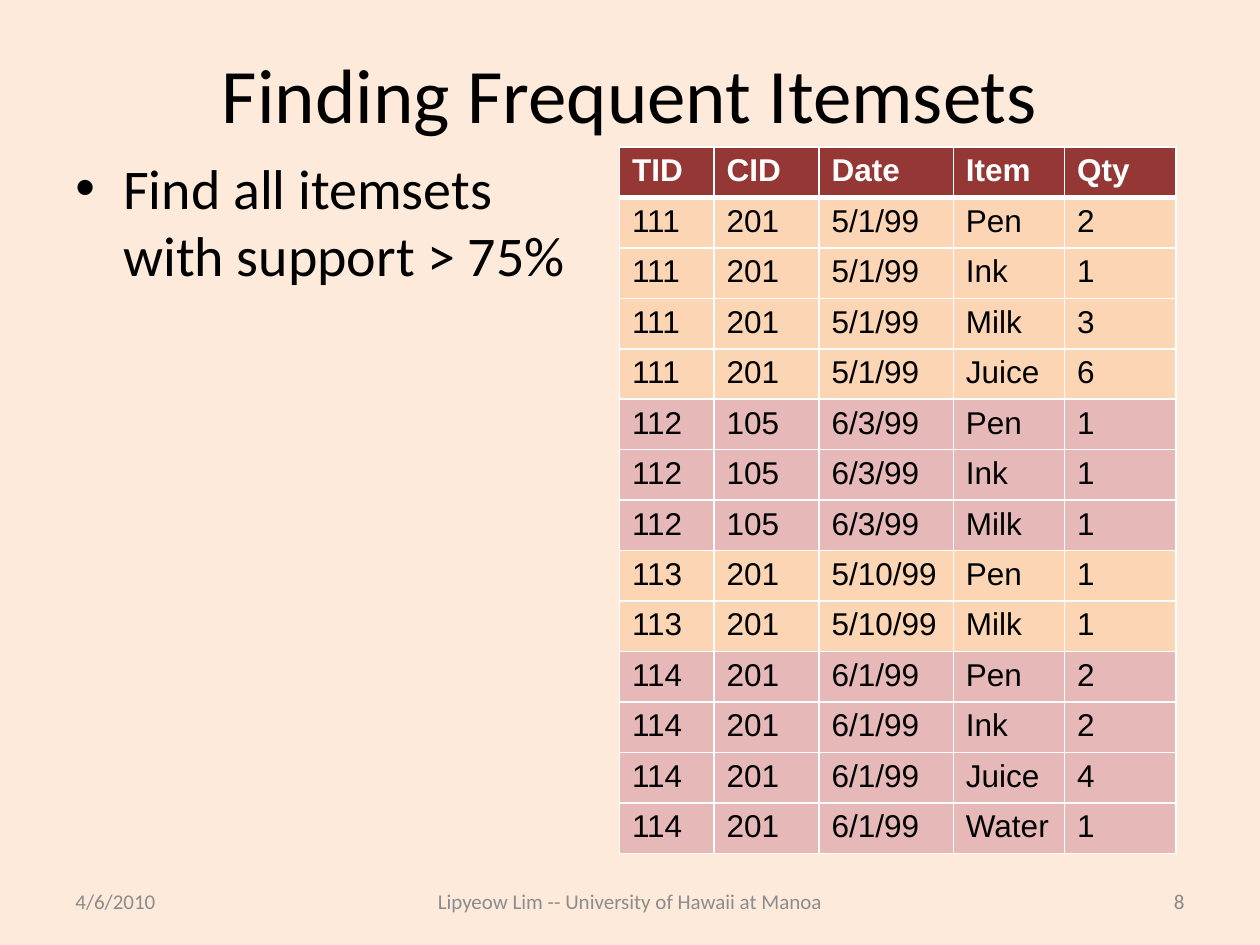
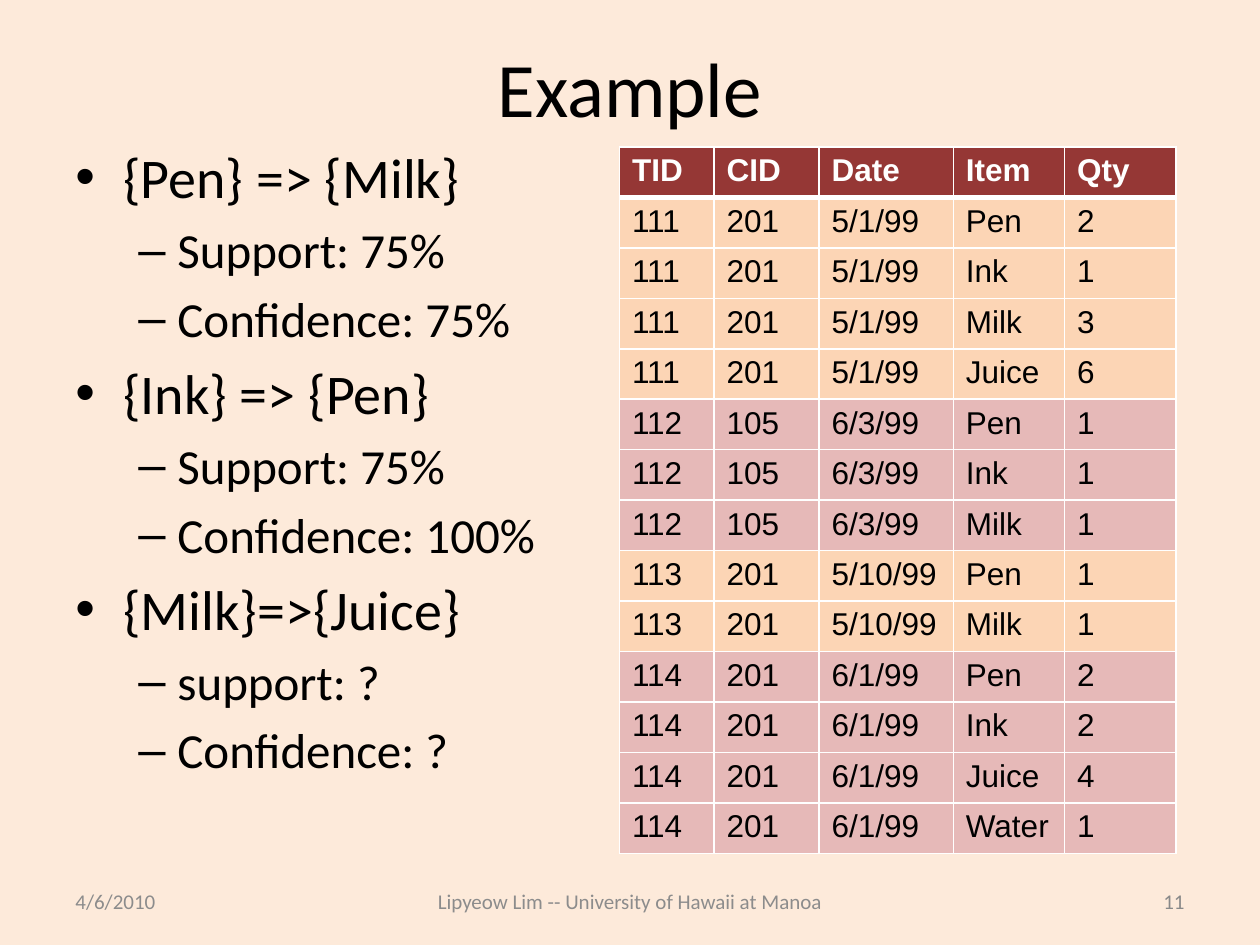
from lxml.etree import SubElement
from pptx import Presentation
from pptx.dml.color import RGBColor
from pptx.enum.text import MSO_ANCHOR as Anchor, PP_ALIGN as Align
from pptx.oxml.ns import qn
from pptx.util import Inches, Pt

COLUMNS, ROWS = 120, 90
LEFT_EDGE, CONTENT_BOTTOM = 6, 80.4
TITLE_TOP, FOOTER_TOP, LINE_HEIGHT = 3.6, 83.4, 4.8
TABLE_LEFT, TABLE_TOP = 59, 14
FIELD_WIDTHS = (9, 10, 12.8, 10.6, 10.6)

BACKGROUND, INK, WHITE = "FDEADA", "000000", "FFFFFF"
FOOTER_GREY, NUMBER_GREY = "8C8C8C", "898989"
HEADER_RED = "953735"
GROUP_FILLS = ("FCD5B5", "E6B9B8")
BULLETS = (("•", 32, 0.38, 0.38), ("–", 28, 0.81, 0.31))

FIELDS = ("TID", "CID", "Date", "Item", "Qty")
TRANSACTIONS = (
    ("111", "201", "5/1/99", (("Pen", "2"), ("Ink", "1"), ("Milk", "3"), ("Juice", "6"))),
    ("112", "105", "6/3/99", (("Pen", "1"), ("Ink", "1"), ("Milk", "1"))),
    ("113", "201", "5/10/99", (("Pen", "1"), ("Milk", "1"))),
    ("114", "201", "6/1/99", (("Pen", "2"), ("Ink", "2"), ("Juice", "4"), ("Water", "1"))),
)


def color(value):
    return RGBColor.from_string(value)


class Deck:
    def __init__(self):
        self.prs = Presentation()
        self.prs.slide_width, self.prs.slide_height = Inches(10), Inches(7.5)
        self.slide = None

    def x(self, columns):
        return round(self.prs.slide_width * columns / COLUMNS)

    def y(self, rows):
        return round(self.prs.slide_height * rows / ROWS)

    def new_slide(self):
        self.slide = self.prs.slides.add_slide(self.prs.slide_layouts[6])
        fill = self.slide.background.fill
        fill.solid()
        fill.fore_color.rgb = color(BACKGROUND)

    def run(self, paragraph, text, size, ink=INK, face="Calibri", bold=False):
        run = paragraph.add_run()
        run.text = text
        font = run.font
        font.size, font.name, font.bold = Pt(size), face, bold
        font.color.rgb = color(ink)

    def frame(self, left, top, width, height, anchor=Anchor.MIDDLE):
        box = self.slide.shapes.add_textbox(
            self.x(left), self.y(top), self.x(width), self.y(height))
        box.text_frame.word_wrap = True
        box.text_frame.vertical_anchor = anchor
        return box.text_frame

    def line(self, text, left, top, width, height, size, align, ink=INK):
        paragraph = self.frame(left, top, width, height).paragraphs[0]
        paragraph.alignment = align
        self.run(paragraph, text, size, ink)

    def title(self, text, bottom):
        self.line(text, LEFT_EDGE, TITLE_TOP, 108, bottom - TITLE_TOP, 44, Align.CENTER)

    def bullets(self, points, top):
        frame = self.frame(LEFT_EDGE, top, 52, CONTENT_BOTTOM - top, Anchor.TOP)
        for index, (level, text) in enumerate(points):
            paragraph = frame.add_paragraph() if index else frame.paragraphs[0]
            mark, size, indent, hang = BULLETS[level]
            paragraph.level = level
            properties = paragraph._p.get_or_add_pPr()
            properties.set("marL", str(Inches(indent)))
            properties.set("indent", str(-Inches(hang)))
            SubElement(properties, qn("a:buFont"), typeface="Arial")
            SubElement(properties, qn("a:buChar"), char=mark)
            if index:
                paragraph.space_before = Pt(size * 0.2)
            self.run(paragraph, text, size)

    def footer(self, number):
        for text, left, width, align, ink in (
                ("4/6/2010", LEFT_EDGE, 28, Align.LEFT, FOOTER_GREY),
                ("Lipyeow Lim -- University of Hawaii at Manoa", 36, 48,
                 Align.CENTER, FOOTER_GREY),
                (number, 86, 28, Align.RIGHT, NUMBER_GREY)):
            self.line(text, left, FOOTER_TOP, width, LINE_HEIGHT, 12, align, ink)

    def cell(self, cell, text, fill, ink=INK, bold=False, top=1, bottom=1):
        properties = cell._tc.get_or_add_tcPr()
        for side, width in (("L", 1), ("R", 1), ("T", top), ("B", bottom)):
            border = SubElement(properties, qn(f"a:ln{side}"), w=str(Pt(width)))
            solid = SubElement(border, qn("a:solidFill"))
            SubElement(solid, qn("a:srgbClr"), val=WHITE)
        cell.fill.solid()
        cell.fill.fore_color.rgb = color(fill)
        self.run(cell.text_frame.paragraphs[0], text, 18, ink, "Arial", bold)

    def purchases(self):
        records = [((tid, cid, date, item, quantity), GROUP_FILLS[group % 2])
                   for group, (tid, cid, date, items) in enumerate(TRANSACTIONS)
                   for item, quantity in items]
        count = len(records) + 1
        table = self.slide.shapes.add_table(
            count, len(FIELDS), self.x(TABLE_LEFT), self.y(TABLE_TOP),
            self.x(sum(FIELD_WIDTHS)), self.y(LINE_HEIGHT * count)).table
        table.horz_banding = False
        for column, width in zip(table.columns, FIELD_WIDTHS):
            column.width = self.x(width)
        for row in table.rows:
            row.height = self.y(LINE_HEIGHT)
        for column, field in enumerate(FIELDS):
            self.cell(table.cell(0, column), field, HEADER_RED, WHITE, True, bottom=3)
        for row, (values, fill) in enumerate(records, 1):
            for column, value in enumerate(values):
                self.cell(table.cell(row, column), value, fill, top=3 if row == 1 else 1)

    def lesson(self, title, points, number, content_top):
        self.new_slide()
        self.title(title, content_top)
        self.bullets(points, content_top)
        self.footer(number)
        self.purchases()

    def save(self):
        self.prs.save("out.pptx")


def main():
    deck = Deck()
    deck.lesson("Finding Frequent Itemsets",
                [(0, "Find all itemsets with support > 75%")], "8", 14)
    rules = (
        ("{Pen} => {Milk}", "Support: 75%", "Confidence: 75%"),
        ("{Ink} => {Pen}", "Support: 75%", "Confidence: 100%"),
        ("{Milk}=>{Juice}", "support: ?", "Confidence: ?"),
    )
    points = [(min(index, 1), text) for rule in rules for index, text in enumerate(rule)]
    deck.lesson("Example", points, "11", 13)
    deck.save()


if __name__ == "__main__":
    main()
